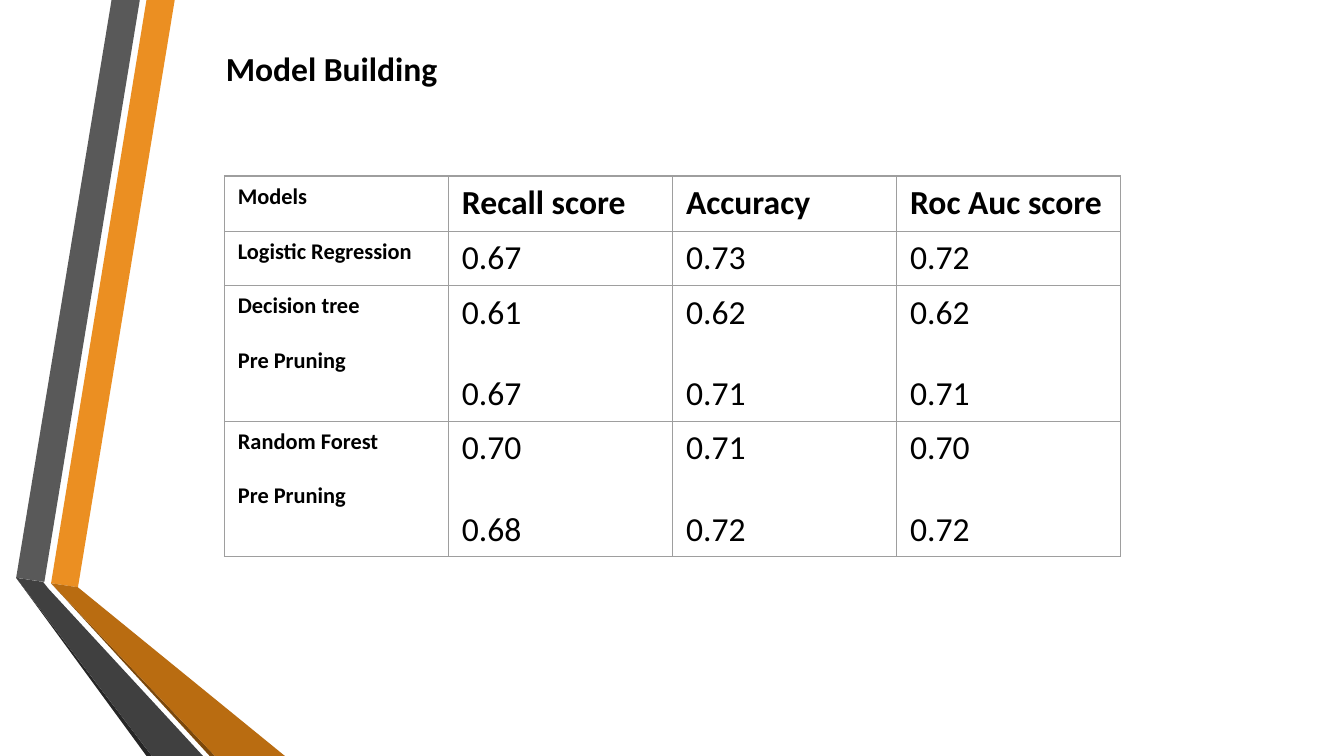
from typing import NamedTuple

from lxml import etree
from pptx import Presentation
from pptx.dml.color import RGBColor
from pptx.enum.text import MSO_ANCHOR, MSO_AUTO_SIZE, PP_ALIGN
from pptx.oxml.ns import qn
from pptx.util import Inches, Pt

MIDDLE = MSO_ANCHOR.MIDDLE
NO_FIT = MSO_AUTO_SIZE.NONE
LEFT = PP_ALIGN.LEFT
FONT = "Calibri"
BLACK = "000000"
GRID = "9E9E9E"
WIDE = 10
BASE = WIDE * 9 / 16


class Band(NamedTuple):
    color: str
    points: list[tuple[float, float]]


class Row(NamedTuple):
    height: float
    cells: list[list[str]]


BANDS = [
    Band("EB8F22", [(0.38, 4.34), (0.58, 4.37), (1.3, 0), (1.09, 0)]),
    Band("595959", [(1.04, 0), (0.83, 0), (0.12, 4.3), (0.33, 4.33)]),
    Band("262626", [(0.12, 4.3), (1.09, BASE), (1.13, BASE)]),
    Band("7B480B", [(0.38, 4.34), (1.56, BASE), (1.6, BASE)]),
    Band("B96C11", [(0.38, 4.34), (1.6, BASE), (2.12, BASE), (0.58, 4.37)]),
    Band("404040", [(1.51, BASE), (0.36, 4.38), (0.32, 4.33), (0.12, 4.3), (1.13, BASE)]),
]

ROWS = [
    Row(0.41, [["Models"], ["Recall score"], ["Accuracy"], ["Roc Auc score"]]),
    Row(0.4, [["Logistic Regression"], ["0.67"], ["0.73"], ["0.72"]]),
    Row(1, [["Decision tree", "Pre Pruning"], ["0.61", "0.67"], ["0.62", "0.71"], ["0.62", "0.71"]]),
    Row(1, [["Random Forest", "Pre Pruning"], ["0.70", "0.68"], ["0.71", "0.72"], ["0.70", "0.72"]]),
]


def rgb(color: str) -> RGBColor:
    return RGBColor.from_string(color)


def add_run(para, text: str, size: float, bold: bool) -> None:
    run = para.add_run()
    run.text = text
    run.font.name = FONT
    run.font.size = Pt(size)
    run.font.bold = bold
    run.font.color.rgb = rgb(BLACK)


def draw_band(slide, band: Band) -> None:
    points = [(Inches(x), Inches(y)) for x, y in band.points]
    pen = slide.shapes.build_freeform(*points[0])
    pen.add_line_segments(points[1:], close=True)
    shape = pen.convert_to_shape()
    shape.shadow.inherit = False
    shape.fill.solid()
    shape.fill.fore_color.rgb = rgb(band.color)
    shape.line.fill.background()


def draw_title(slide, text: str) -> None:
    title = slide.shapes.title
    title.left, title.top = Inches(1.58), Inches(0.31)
    title.width, title.height = Inches(1.79), Inches(0.4)
    frame = title.text_frame
    frame.word_wrap = False
    frame.auto_size = NO_FIT
    frame.vertical_anchor = MIDDLE
    para = frame.paragraphs[0]
    para.alignment = LEFT
    add_run(para, text, 18, True)


def add_edges(cell) -> None:
    props = cell._tc.get_or_add_tcPr()
    for spot, side in enumerate(("lnL", "lnR", "lnT", "lnB")):
        edge = etree.Element(qn(f"a:{side}"), w=str(Pt(0.75)))
        fill = etree.SubElement(edge, qn("a:solidFill"))
        etree.SubElement(fill, qn("a:srgbClr"), val=GRID)
        props.insert(spot, edge)


def fill_cell(cell, lines: list[str], size: float, gap: float, bold: bool) -> None:
    cell.fill.background()
    add_edges(cell)
    frame = cell.text_frame
    for spot, line in enumerate(lines):
        para = frame.add_paragraph() if spot else frame.paragraphs[0]
        if spot:
            para.space_before = Pt(gap)
        add_run(para, line, size, bold)


def draw_table(slide, rows: list[Row]) -> None:
    count = len(rows[0].cells)
    high = sum(row.height for row in rows)
    frame = slide.shapes.add_table(
        len(rows), count, Inches(1.67), Inches(1.31), Inches(6.67), Inches(high)
    )
    table = frame.table
    table.first_row = False
    table.horz_banding = False
    for r, row in enumerate(rows):
        table.rows[r].height = Inches(row.height)
        for c, lines in enumerate(row.cells):
            size, gap = (18, 21.5) if c else (12, 14.7)
            fill_cell(table.cell(r, c), lines, size, gap, r == 0 or c == 0)


def main() -> None:
    deck = Presentation()
    deck.slide_width, deck.slide_height = Inches(WIDE), Inches(BASE)
    slide = deck.slides.add_slide(deck.slide_layouts[5])
    for band in BANDS:
        draw_band(slide, band)
    draw_title(slide, "Model Building")
    draw_table(slide, ROWS)
    deck.save("out.pptx")


if __name__ == "__main__":
    main()
